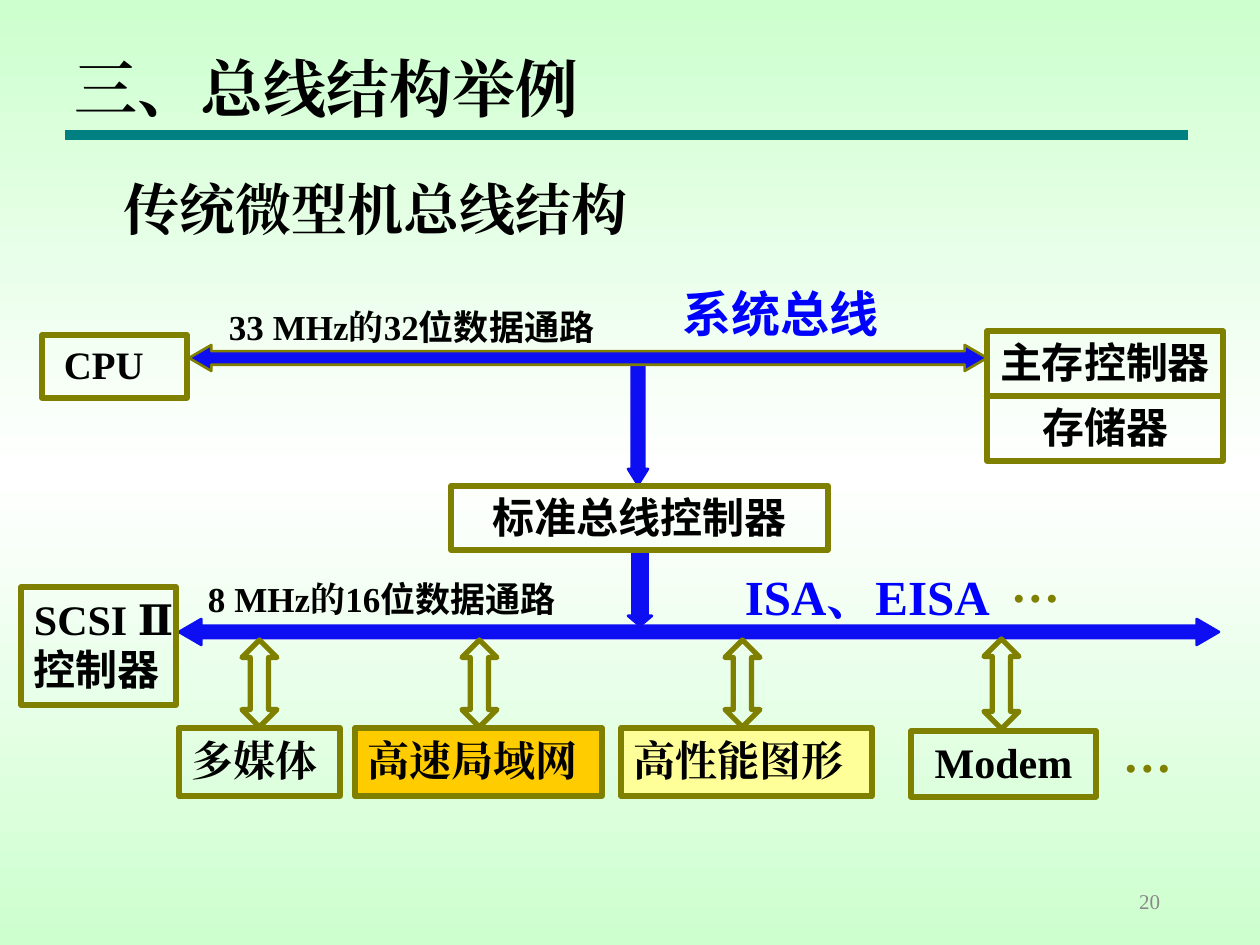
from copy import deepcopy

from pptx import Presentation
from pptx.dml.color import RGBColor
from pptx.enum.shapes import MSO_CONNECTOR, MSO_SHAPE
from pptx.enum.text import MSO_ANCHOR, PP_ALIGN
from pptx.oxml.ns import qn
from pptx.util import Emu, Pt

RECTANGLE = MSO_SHAPE.RECTANGLE
DOWN_ARROW = MSO_SHAPE.DOWN_ARROW
UP_DOWN_ARROW = MSO_SHAPE.UP_DOWN_ARROW
LEFT_RIGHT_ARROW = MSO_SHAPE.LEFT_RIGHT_ARROW
STRAIGHT = MSO_CONNECTOR.STRAIGHT
TOP = MSO_ANCHOR.TOP
LEFT, CENTER, RIGHT = PP_ALIGN.LEFT, PP_ALIGN.CENTER, PP_ALIGN.RIGHT

EMU_PER_PX = 914400 / 126
SERIF = "Times New Roman"
SANS = "Noto Sans CJK SC"
BLACK, BLUE, BUS_BLUE = "000000", "0000FF", "0E0EF2"
OLIVE, TEAL, GRAY = "808000", "008080", "898989"
GREEN, WHITE = "CDFFCE", "FFFFFF"


def px(*lengths):
    return [Emu(round(length * EMU_PER_PX)) for length in lengths]


def rgb(color):
    return RGBColor.from_string(color)


def set_background(slide):
    fill = slide.background.fill
    fill.gradient()
    fill.gradient_angle = 270
    stop_list = slide.element.find(".//" + qn("a:gsLst"))
    stop_list.append(deepcopy(stop_list[0]))
    for stop, position, color in zip(fill.gradient_stops, (0, 0.5, 1), (GREEN, WHITE, GREEN)):
        stop.position = position
        stop.color.rgb = rgb(color)


def write(shape, lines, size, color=BLACK, align=LEFT, bold=True, inset=(0, 0), wrap=True):
    frame = shape.text_frame
    frame.word_wrap = wrap
    frame.vertical_anchor = TOP
    frame.margin_left, frame.margin_top = px(*inset)
    frame.margin_right = frame.margin_bottom = 0
    for index, pieces in enumerate(lines):
        paragraph = frame.add_paragraph() if index else frame.paragraphs[0]
        paragraph.alignment = align
        for text, font_name in pieces:
            run = paragraph.add_run()
            run.text = text
            font = run.font
            font.name, font.size, font.bold = font_name, Pt(size), bold
            font.color.rgb = rgb(color)
            east_asian = deepcopy(run._r.rPr.find(qn("a:latin")))
            east_asian.tag = qn("a:ea")
            run._r.rPr.append(east_asian)


def add_label(slide, bounds, pieces, size, **style):
    write(slide.shapes.add_textbox(*px(*bounds)), [pieces], size, **style)


def add_outline(slide, kind, bounds, fill, line, weight):
    shape = slide.shapes.add_shape(kind, *px(*bounds))
    shape.shadow.inherit = False
    if fill:
        shape.fill.solid()
        shape.fill.fore_color.rgb = rgb(fill)
    else:
        shape.fill.background()
    shape.line.color.rgb = rgb(line)
    shape.line.width = Pt(weight)
    return shape


def add_unit(slide, bounds, lines, fill=None, size=24, align=LEFT, indent=13):
    unit = add_outline(slide, RECTANGLE, bounds, fill, OLIVE, 3)
    inset = (0 if align == CENTER else indent, 6)
    write(unit, lines, size, align=align, inset=inset, wrap=False)


def add_arrow(slide, kind, bounds, shaft, head, fill=BUS_BLUE, line=BUS_BLUE, weight=1.5):
    arrow = add_outline(slide, kind, bounds, fill, line, weight)
    arrow.adjustments[0] = shaft
    arrow.adjustments[1] = head


def add_title_rule(slide):
    rule = slide.shapes.add_connector(STRAIGHT, *px(65, 135, 1188, 135))
    rule.line.color.rgb = rgb(TEAL)
    rule.line.width = Pt(6)
    properties = rule._element.spPr
    properties.append(properties.makeelement(qn("a:effectLst"), {}))


def main():
    presentation = Presentation()
    presentation.slide_width, presentation.slide_height = px(1260, 945)
    slide = presentation.slides.add_slide(presentation.slide_layouts[6])
    set_background(slide)
    add_title_rule(slide)

    add_label(slide, (74, 50, 560, 76), [("三、总线结构举例", SERIF)], 36)
    add_label(slide, (123, 174, 560, 68), [("传统微型机总线结构", SERIF)], 32)

    add_arrow(slide, DOWN_ARROW, (628, 549, 24, 77), 0.63, 0.42)
    add_arrow(slide, DOWN_ARROW, (628, 359, 20, 126), 0.63, 0.8)
    add_arrow(slide, LEFT_RIGHT_ARROW, (189, 345, 798, 26), 0.52, 0.86, line=OLIVE)
    add_arrow(slide, LEFT_RIGHT_ARROW, (179, 619, 1040, 26), 0.48, 0.86)
    for left, top, height in ((242, 640, 87), (462, 640, 87), (725, 640, 87), (984, 639, 90)):
        add_arrow(slide, UP_DOWN_ARROW, (left, top, 35, height), 0.5, 0.52, None, OLIVE, 3)

    add_unit(slide, (42, 335, 145, 63), [[("CPU", SERIF)]], size=22.2, indent=22)
    add_unit(slide, (987, 331, 236, 65), [[("主存控制器", SANS)]], align=CENTER)
    add_unit(slide, (987, 396, 236, 65), [[("存储器", SANS)]], align=CENTER)
    add_unit(slide, (451, 486, 377, 64), [[("标准总线控制器", SANS)]], align=CENTER)
    add_unit(slide, (21, 587, 155, 118), [[("SCSI Ⅱ", SERIF)], [("控制器", SANS)]])
    add_unit(slide, (179, 728, 161, 68), [[("多媒体", SERIF)]])
    add_unit(slide, (355, 728, 247, 68), [[("高速局域网", SERIF)]], "FFCC00")
    add_unit(slide, (621, 728, 251, 68), [[("高性能图形", SERIF)]], "FFFF99")
    add_unit(slide, (911, 731, 185, 66), [[("Modem", SERIF)]], align=CENTER)

    for left, top, rate in ((229, 305, "33 MHz的32"), (208, 577, "8 MHz的16")):
        add_label(slide, (left, top, 420, 42), [(rate, SERIF), ("位数据通路", SANS)], 20)
    add_label(slide, (683, 284, 220, 59), [("系统总线", SANS)], 28, color=BLUE)
    add_label(slide, (745, 567, 290, 59), [("ISA、EISA", SERIF)], 28, color=BLUE)
    for left, top in ((1011, 554), (1123, 724)):
        add_label(slide, (left, top, 60, 59), [("…", SERIF)], 28, color=OLIVE)
    add_label(slide, (890, 889, 270, 25), [("20", SERIF)], 12, color=GRAY, align=RIGHT, bold=False)

    presentation.save("out.pptx")


if __name__ == "__main__":
    main()
